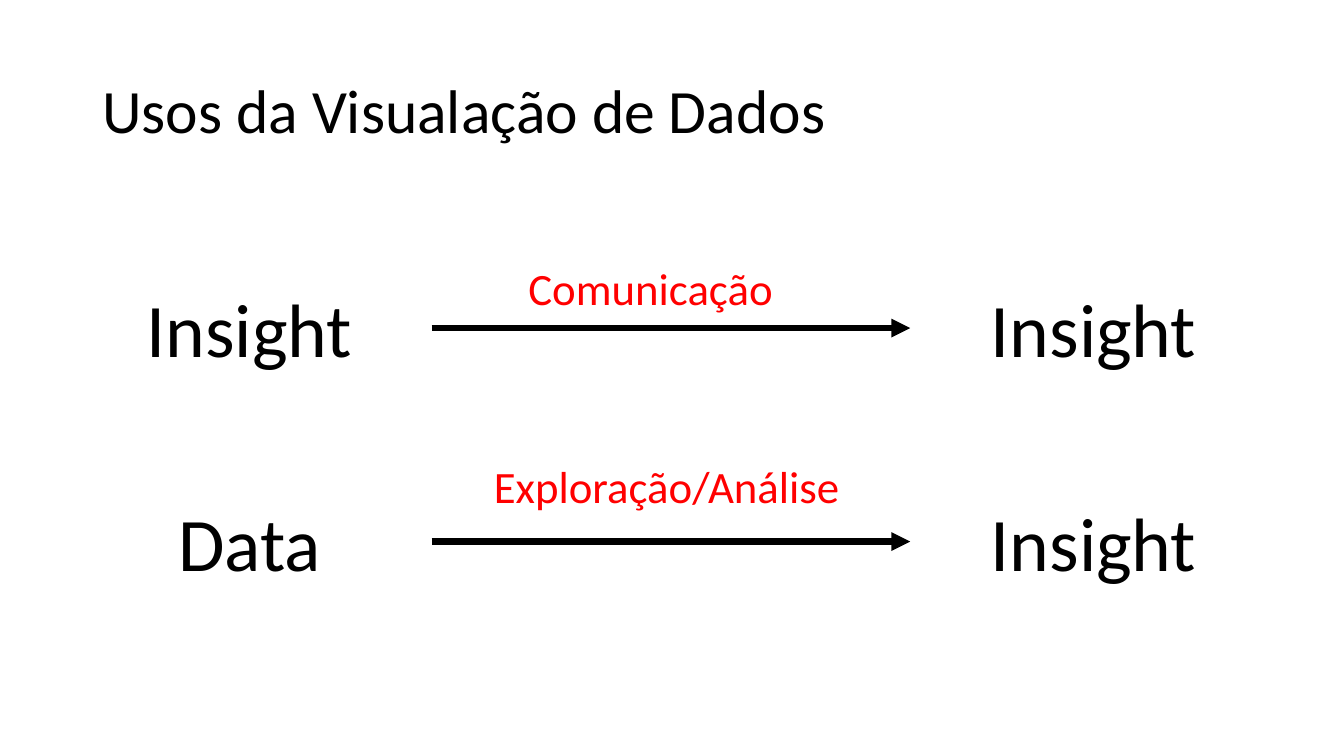
from pptx import Presentation
from pptx.dml.color import RGBColor
from pptx.enum.shapes import MSO_CONNECTOR
from pptx.enum.text import MSO_ANCHOR, PP_ALIGN
from pptx.oxml.ns import qn
from pptx.util import Pt
from lxml import etree

TITLE = "Usos da Visualação de Dados"
FLOWS = [
    {"source": "Insight", "target": "Insight", "label": "Comunicação",
     "top": 198, "label_at": (327.6, 182.9)},
    {"source": "Data", "target": "Insight", "label": "Exploração/Análise",
     "top": 350.5, "label_at": (339.1, 324)},
]

BLACK = RGBColor(0x00, 0x00, 0x00)
RED = RGBColor(0xFF, 0x00, 0x00)
LEFT, CENTER = PP_ALIGN.LEFT, PP_ALIGN.CENTER
TOP, MIDDLE = MSO_ANCHOR.TOP, MSO_ANCHOR.MIDDLE
STRAIGHT = MSO_CONNECTOR.STRAIGHT

SOURCE_X, SOURCE_W = 48, 260.4
TARGET_X, TARGET_W = 650.2, 262
TERM_H = 72.7
LABEL_W, LABEL_H = 274.3, 46.1


def add_text(s, text, box, size, color=BLACK, align=CENTER, anchor=TOP, spacing=1.0):
    tf = s.shapes.add_textbox(*map(Pt, box)).text_frame
    tf.word_wrap = True
    tf.vertical_anchor = anchor
    p = tf.paragraphs[0]
    p.alignment = align
    p.line_spacing = spacing
    r = p.add_run()
    r.text = text
    for name, value in {"name": "Calibri", "size": Pt(size)}.items():
        setattr(r.font, name, value)
    r.font.color.rgb = color


def add_arrow(s, x1, x2, y):
    arrow = s.shapes.add_connector(STRAIGHT, Pt(x1), Pt(y), Pt(x2), Pt(y))
    arrow.line.color.rgb = BLACK
    arrow.line.width = Pt(4.5)
    etree.SubElement(arrow.line._get_or_add_ln(), qn("a:tailEnd"), type="triangle")
    etree.SubElement(arrow._element.spPr, qn("a:effectLst"))


def main():
    prs = Presentation()
    prs.slide_width, prs.slide_height = Pt(960), Pt(540)
    s = prs.slides.add_slide(prs.slide_layouts[6])
    add_text(s, TITLE, (66, 28.8, 828, 104.4), 44,
             align=LEFT, anchor=MIDDLE, spacing=0.9)
    for flow in FLOWS:
        top = flow["top"]
        add_text(s, flow["source"], (SOURCE_X, top, SOURCE_W, TERM_H), 54)
        add_text(s, flow["target"], (TARGET_X, top, TARGET_W, TERM_H), 54)
        add_arrow(s, SOURCE_X + SOURCE_W, TARGET_X, top + TERM_H / 2)
        add_text(s, flow["label"], (*flow["label_at"], LABEL_W, LABEL_H), 32, RED)
    prs.save("out.pptx")


if __name__ == "__main__":
    main()
